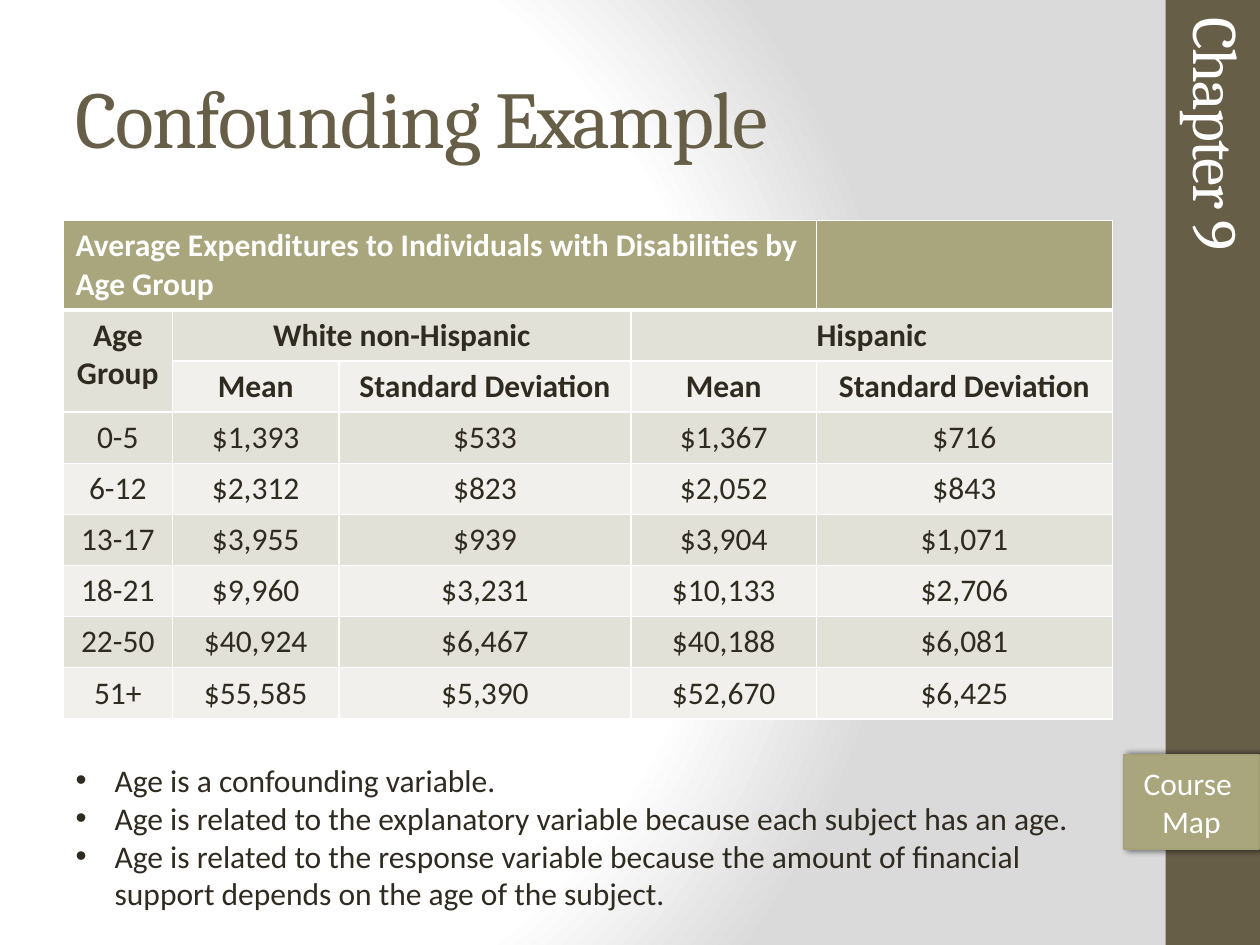
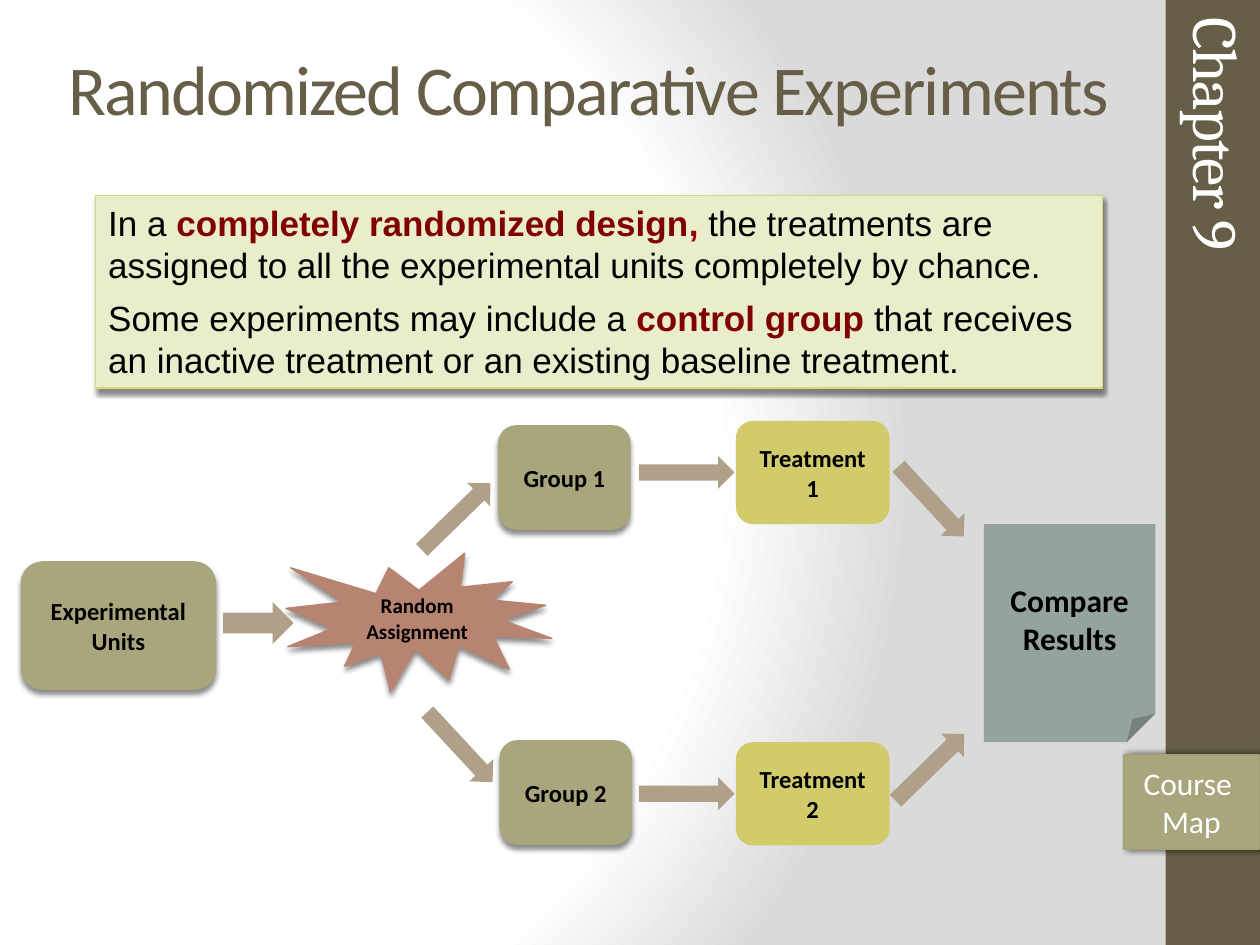
from dataclasses import dataclass
from typing import NamedTuple, Optional, Sequence

from lxml.etree import SubElement as Sub
from pptx import Presentation
from pptx.dml.color import RGBColor as RGB
from pptx.enum.shapes import MSO_SHAPE as Shape
from pptx.enum.text import MSO_ANCHOR as Anchor, MSO_AUTO_SIZE as Auto, PP_ALIGN as Align
from pptx.oxml.ns import qn
from pptx.util import Inches, Pt


# Theme: colours, fonts and type sizes
@dataclass(frozen=True)
class Theme:
    brown: str = "675E47"
    olive: str = "A9A57C"
    edge: str = "A6A278"
    ink: str = "2F2B20"
    black: str = "000000"
    white: str = "FFFFFF"
    grey: str = "DADADA"
    bands: tuple = ("E2E1D7", "F1F0EC")
    cream: str = "EAEDCB"
    lime: str = "D2DA7A"
    gold: str = "D2CB6C"
    clay: str = "B88472"
    tan: str = "B1A089"
    sage: str = "95A39D"
    red: str = "800000"
    wine: str = "990000"
    serif: str = "Cambria"
    sans: str = "Calibri"
    plain: str = "Arial"
    head: int = 46
    title: int = 40
    side: int = 36
    lead: int = 20
    body: int = 18
    node: int = 14
    small: int = 12


T = Theme()
COLS, ROWS = 100, 75
deck = Presentation()
deck.slide_width, deck.slide_height = Inches(10), Inches(7.5)


# Grid: 100 columns by 75 rows
class Box(NamedTuple):
    x: float
    y: float
    w: float
    h: float


class Font(NamedTuple):
    face: str
    size: int
    color: str
    bold: bool = False
    track: int = 0


class Glow(NamedTuple):
    alpha: int
    blur: float
    dist: float
    angle: int


@dataclass
class Node:
    kind: Shape
    box: Box
    fill: str
    text: str = ""
    size: int = T.node
    line: Optional[str] = None
    width: float = 0.79
    glow: Optional[Glow] = None
    turn: float = 0


DROP, SIDE = Glow(45, 3, 2.4, 90), Glow(60, 4, 2, 0)


def col(n: float) -> int:
    return round(deck.slide_width * n / COLS)


def row(n: float) -> int:
    return round(deck.slide_height * n / ROWS)


def span(box: Box) -> tuple:
    return col(box.x), row(box.y), col(box.w), row(box.h)


def place(shape, box: Box) -> None:
    shape.left, shape.top, shape.width, shape.height = span(box)


# Text helpers
def write(para, text: str, font: Font) -> None:
    run = para.add_run()
    run.text = text
    run.font.name, run.font.size, run.font.bold = font.face, Pt(font.size), font.bold
    run.font.color.rgb = RGB.from_string(font.color)
    if font.track:
        run.font._element.set("spc", str(font.track))


def setup(frame, anchor=Anchor.MIDDLE) -> None:
    frame.word_wrap, frame.auto_size = True, Auto.NONE
    frame.vertical_anchor = anchor


def tint(parent, color: str, alpha: int = 100) -> None:
    clr = Sub(parent, qn("a:srgbClr"), val=color)
    if alpha < 100:
        Sub(clr, qn("a:alpha"), val=str(alpha * 1000))


# Shapes
def draw(slide, node: Node):
    shape = slide.shapes.add_shape(node.kind, *span(node.box))
    shape.rotation = node.turn
    shape.shadow.inherit = False
    shape.fill.solid()
    shape.fill.fore_color.rgb = RGB.from_string(node.fill)
    if node.line:
        shape.line.color.rgb = RGB.from_string(node.line)
        shape.line.width = Pt(node.width)
    else:
        shape.line.fill.background()
    if node.glow:
        glow = node.glow
        root = shape._element.spPr.find(qn("a:effectLst"))
        cast = Sub(root, qn("a:outerShdw"), blurRad=str(Pt(glow.blur)), dist=str(Pt(glow.dist)),
                   dir=str(glow.angle * 60000), algn="ctr", rotWithShape="0")
        tint(cast, T.black, glow.alpha)
    setup(shape.text_frame)
    if node.text:
        para = shape.text_frame.paragraphs[0]
        para.alignment = Align.CENTER
        write(para, node.text, Font(T.sans, node.size, T.black, True))
    return shape


def arrow(slide, box: Box, turn: float = 0) -> None:
    draw(slide, Node(Shape.RIGHT_ARROW, box, T.tan, turn=turn))


# Shared parts: backdrop, side band, title, button
def backdrop(master) -> None:
    fill = master.background.fill
    fill.gradient()
    grad = master._element.find(".//" + qn("a:gradFill"))
    for part in list(grad):
        grad.remove(part)
    stops = Sub(grad, qn("a:gsLst"))
    for pos, color in ((0, T.white), (75, T.white), (100, T.grey)):
        tint(Sub(stops, qn("a:gs"), pos=str(pos * 1000)), color)
    path = Sub(grad, qn("a:path"), path="circle")
    Sub(path, qn("a:fillToRect"), l="20000", t="50000", r="100000", b="50000")


def start(layout: int, title: str, box: Box, font: Font, lead: float = 1.0):
    slide = deck.slides.add_slide(deck.slide_layouts[layout])
    draw(slide, Node(Shape.RECTANGLE, Box(92.5, 0, 7.5, ROWS), T.brown))
    head = slide.shapes.title
    place(head, box)
    setup(head.text_frame)
    para = head.text_frame.paragraphs[0]
    para.alignment, para.line_spacing = Align.LEFT, lead
    write(para, title, font)
    return slide


def finish(slide) -> None:
    side = slide.shapes.add_textbox(*span(Box(73.8, 19.3, 45.8, 8)))
    side.rotation = 90
    setup(side.text_frame)
    write(side.text_frame.paragraphs[0], "Chapter 9", Font(T.serif, T.side, T.white, track=-100))
    key = draw(slide, Node(Shape.ACTION_BUTTON_CUSTOM, Box(89.2, 59.9, 10.7, 7.5), T.olive,
                           line=T.edge, width=1, glow=SIDE))
    para = key.text_frame.paragraphs[0]
    para.alignment = Align.CENTER
    font = Font(T.sans, T.body, T.white)
    write(para, "Course ", font)
    para.add_line_break()
    write(para, "Map", font)


# Table
def border(cell, base: float) -> None:
    props = cell._tc.get_or_add_tcPr()
    for i, (side, width) in enumerate((("L", 1), ("R", 1), ("T", 1), ("B", base))):
        line = Sub(props, qn("a:ln" + side), w=str(Pt(width)))
        tint(Sub(line, qn("a:solidFill")), T.white)
        props.insert(i, line)


def chart_table(slide, data: Sequence[Sequence[str]], box: Box, widths: Sequence[float]) -> None:
    grid = slide.shapes.add_table(len(data), len(widths), *span(box)).table
    for part, width in zip(grid.columns, widths):
        part.width = col(width)
    top = 7
    for r, part in enumerate(grid.rows):
        part.height = row(top if r == 0 else (box.h - top) / (len(data) - 1))
    for r, line in enumerate(data):
        for c, text in enumerate(line):
            cell = grid.cell(r, c)
            cell.fill.solid()
            cell.fill.fore_color.rgb = RGB.from_string(T.bands[(r + 1) % 2] if r else T.olive)
            border(cell, 1 if r else 3)
            if text:
                para = cell.text_frame.paragraphs[0]
                para.alignment = Align.CENTER if r else Align.LEFT
                write(para, text, Font(T.sans, T.body, T.ink if r else T.white, r < 3))
    for a, b in (((0, 0), (0, 3)), ((1, 0), (2, 0)), ((1, 1), (1, 2)), ((1, 3), (1, 4))):
        grid.cell(*a).merge(grid.cell(*b))


def bullets(shape, box: Box, lines: Sequence[str]) -> None:
    place(shape, box)
    frame = shape.text_frame
    setup(frame, Anchor.TOP)
    for i, text in enumerate(lines):
        para = frame.add_paragraph() if i else frame.paragraphs[0]
        para.space_before = Pt(0)
        props = para._p.get_or_add_pPr()
        props.set("marL", str(col(3.1)))
        props.set("indent", str(-col(3.1)))
        Sub(props, qn("a:buFont"), typeface=T.plain)
        Sub(props, qn("a:buChar"), char="•")
        write(para, text, Font(T.sans, T.body, T.ink))


backdrop(deck.slide_master)

# Slide 1: table and notes on it
PAIR = ["Mean", "Standard Deviation"]
COSTS = [
    ["Average Expenditures to Individuals with Disabilities by Age Group", "", "", "", ""],
    ["Age Group", "White non-Hispanic", "", "Hispanic", ""],
    ["", *PAIR, *PAIR],
    ["0-5", "$1,393", "$533", "$1,367", "$716"],
    ["6-12", "$2,312", "$823", "$2,052", "$843"],
    ["13-17", "$3,955", "$939", "$3,904", "$1,071"],
    ["18-21", "$9,960", "$3,231", "$10,133", "$2,706"],
    ["22-50", "$40,924", "$6,467", "$40,188", "$6,081"],
    ["51+", "$55,585", "$5,390", "$52,670", "$6,425"],
]
one = start(1, "Confounding Example", Box(5, 3, 83.3, 12.5),
            Font(T.serif, T.head, T.brown, track=-100))
chart_table(one, COSTS, Box(5, 17.5, 83.3, 39.4), (8.7, 13.2, 23.2, 14.7, 23.5))
bullets(one.placeholders[1], Box(5, 59.9, 83.3, 13.1), [
    "Age is a confounding variable.",
    "Age is related to the explanatory variable because each subject has an age.",
    "Age is related to the response variable because the amount of financial "
    "support depends on the age of the subject.",
])
finish(one)

# Slide 2: design text and flow chart
two = start(5, "Randomized Comparative Experiments", Box(4.4, 1.7, 93.9, 11.4),
            Font(T.sans, T.title, T.brown, track=-100), 0.9)
note = draw(two, Node(Shape.RECTANGLE, Box(7.6, 15.5, 79.9, 15.3), T.cream,
                      line=T.lime, glow=DROP)).text_frame
note.vertical_anchor = Anchor.TOP
base = Font(T.plain, T.lead, T.black)
bold = Font(T.plain, T.lead, T.red, True)
first, last = note.paragraphs[0], note.add_paragraph()
first.alignment = last.alignment = Align.LEFT
first.space_after = Pt(6)
for para, text, font in (
    (first, "In a ", base),
    (first, "completely randomized design", bold),
    (first, ",", bold._replace(color=T.wine)),
    (first, " the treatments are assigned to all the experimental units completely by chance.", base),
    (last, "Some experiments may include a ", base),
    (last, "control group", bold),
    (last, " that receives an inactive treatment or an existing baseline treatment.", base),
):
    write(para, text, font)

# Start of the flow
draw(two, Node(Shape.ROUNDED_RECTANGLE, Box(1.7, 44.6, 15.4, 10.1), T.olive,
               "Experimental Units", line=T.olive, glow=DROP))
draw(two, Node(Shape.EXPLOSION1, Box(22.7, 43.9, 21.1, 11), T.clay,
               "Random Assignment", T.small, T.clay, glow=DROP))
arrow(two, Box(17.7, 47.8, 5.6, 3.3))

# Two lanes, one for each group
LONG, THIN, STEP = 7.6, 2.6, 25.5
UP, DOWN = 315.8, 47.1
for i in range(2):
    draw(two, Node(Shape.ROUNDED_RECTANGLE, Box(39.6 + i / 10, 33.8 + 25 * i, 10.4, 8.2), T.olive,
                   f"Group {i + 1}", line=T.olive, glow=DROP))
    arrow(two, Box(50.7, 36.2 + STEP * i, LONG, THIN))
    draw(two, Node(Shape.ROUNDED_RECTANGLE, Box(58.4, 33.4 + STEP * i, 12.2, 8.2), T.gold,
                   f"Treatment {i + 1}"))
for x, y, turn in ((32.4, 39.7, UP), (32.7, 58, DOWN), (70.1, 38.5, DOWN), (70, 59.6, UP)):
    arrow(two, Box(x, y, LONG, THIN), turn)
draw(two, Node(Shape.FOLDED_CORNER, Box(78.1, 41.6, 13.6, 17.3), T.sage, "Compare Results", T.body))
finish(two)

deck.save("out.pptx")
